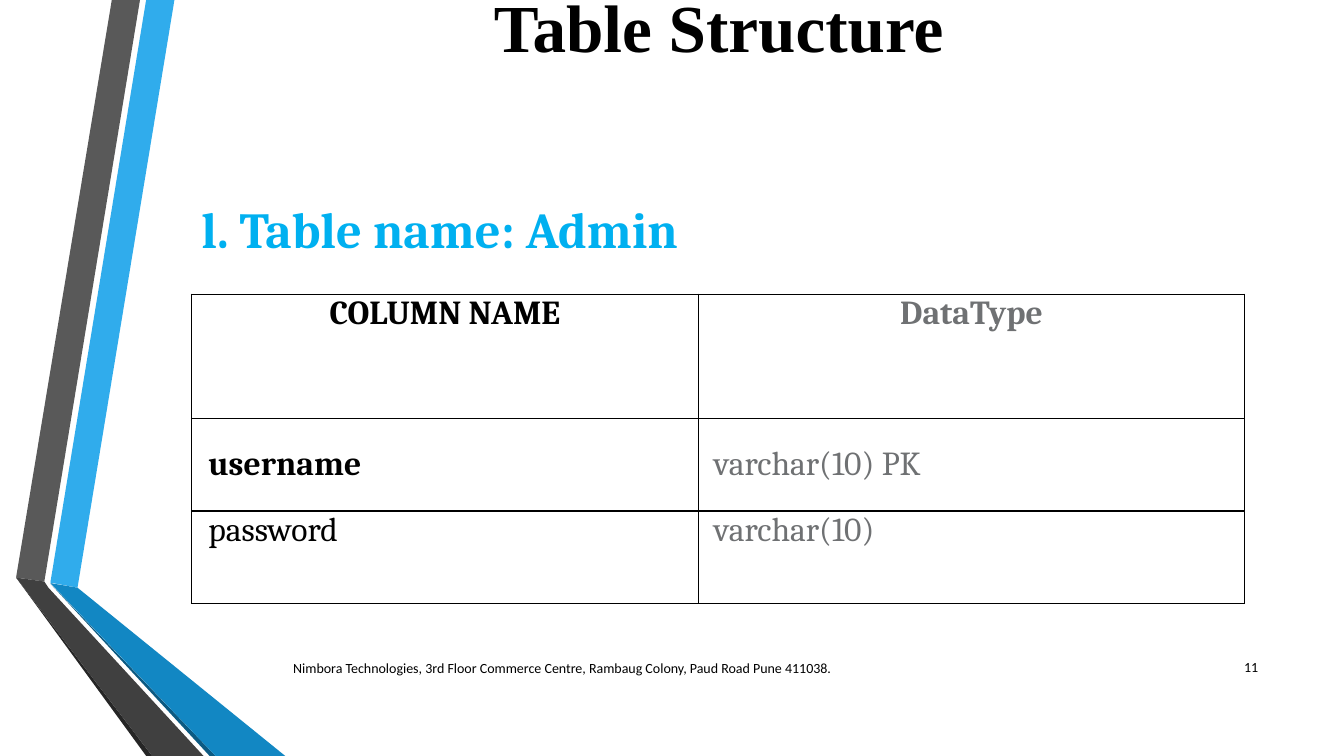
from lxml.etree import SubElement
from pptx import Presentation
from pptx.dml.color import RGBColor
from pptx.enum.text import MSO_ANCHOR as Anchor, MSO_AUTO_SIZE as AutoSize, PP_ALIGN as Align
from pptx.oxml.ns import qn
from pptx.util import Pt

BLACK = RGBColor(0x00, 0x00, 0x00)
GREY_TEXT = RGBColor(0x6F, 0x71, 0x73)
HEADING_BLUE = RGBColor(0x00, 0xB0, 0xF0)
LIGHT_BLUE = RGBColor(0x30, 0xAC, 0xEC)
MID_BLUE = RGBColor(0x12, 0x87, 0xC3)
DARK_BLUE = RGBColor(0x0C, 0x5A, 0x82)
LIGHT_GREY = RGBColor(0x59, 0x59, 0x59)
MID_GREY = RGBColor(0x40, 0x40, 0x40)
DARK_GREY = RGBColor(0x26, 0x26, 0x26)


def write(frame, text, font, size, color, bold=False, align=Align.LEFT, spacing=None):
    paragraph = frame.paragraphs[0]
    paragraph.alignment = align
    paragraph.line_spacing = spacing
    run = paragraph.add_run()
    run.text = text
    for key, value in {"name": font, "size": Pt(size), "bold": bold}.items():
        setattr(run.font, key, value)
    run.font.color.rgb = color


def place(shape, left, top, width, height):
    box = {"left": left, "top": top, "width": width, "height": height}
    for key, value in box.items():
        setattr(shape, key, Pt(value))


deck = Presentation()
deck.slide_width, deck.slide_height = Pt(960), Pt(540)
slide = deck.slides.add_slide(deck.slide_layouts[5])
shapes = slide.shapes

bands = [
    (LIGHT_BLUE, [(36, 416.2), (55.4, 419.8), (124.6, 0), (104.4, 0)]),
    (LIGHT_GREY, [(100, 0), (79.9, 0), (11.5, 412.6), (31.7, 415.4)]),
    (DARK_GREY, [(11.5, 412.6), (104.4, 540), (108.7, 540)]),
    (DARK_BLUE, [(36, 416.9), (149.8, 540), (154.1, 540)]),
    (MID_BLUE, [(36, 416.5), (154.1, 540), (203.8, 540), (55.4, 419.8)]),
    (MID_GREY, [(11.5, 412.6), (108.7, 540), (145.4, 540), (34.6, 419.8), (31.7, 415.4)]),
]
for color, corners in bands:
    start, *others = [(Pt(x), Pt(y)) for x, y in corners]
    outline = shapes.build_freeform(*start)
    outline.add_line_segments(others, close=True)
    band = outline.convert_to_shape()
    band.shadow.inherit = False
    band.fill.solid()
    band.fill.fore_color.rgb = color
    band.line.fill.background()

title = shapes.title
place(title, 136.8, 17.3, 769.7, 78.5)
title_format = {
    "margin_left": Pt(216), "margin_top": 0, "margin_right": 0, "margin_bottom": 0,
    "vertical_anchor": Anchor.TOP, "auto_size": AutoSize.NONE, "word_wrap": True,
}
for key, value in title_format.items():
    setattr(title.text_frame, key, value)
write(title.text_frame, "Table Structure", "Times New Roman", 48, BLACK, True, spacing=Pt(30))

rows = [
    ("COLUMN NAME", "DataType"),
    ("username", "varchar(10) PK"),
    ("password", "varchar(10)"),
]
table = shapes.add_table(3, 2, Pt(136.8), Pt(210.2), Pt(752.4), Pt(221)).table
table.first_row = table.horz_banding = False
for column, width in zip(table.columns, (362, 390.4)):
    column.width = Pt(width)
for row, height in zip(table.rows, (88.6, 66.2, 66.2)):
    row.height = Pt(height)

for r, texts in enumerate(rows):
    for c, text in enumerate(texts):
        cell = table.cell(r, c)
        cell_format = {
            "margin_left": Pt((12, 11)[c]) if r else 0,
            "margin_top": 0, "margin_right": 0, "margin_bottom": 0,
            "vertical_anchor": Anchor.MIDDLE if r == 1 else Anchor.TOP,
        }
        for key, value in cell_format.items():
            setattr(cell, key, value)
        properties = cell._tc.get_or_add_tcPr()
        for side in ("a:lnL", "a:lnR", "a:lnT", "a:lnB"):
            border = SubElement(properties, qn(side), w=str(Pt(1)))
            border_fill = SubElement(border, qn("a:solidFill"))
            SubElement(border_fill, qn("a:srgbClr"), val=str(BLACK))
        cell.fill.background()
        write(cell.text_frame, text, "Cambria", 24, (BLACK, GREY_TEXT)[c],
              bold=r == 0 or (r, c) == (1, 0),
              align=Align.LEFT if r else Align.CENTER)

labels = [
    ((136.8, 151.2, 480.2, 38.2), Anchor.TOP,
     ("l. Table name: Admin", "Cambria", 36, HEADING_BLUE, True, Align.LEFT, Pt(30))),
    ((202.3, 463, 558, 28.8), Anchor.MIDDLE,
     ("Nimbora Technologies, 3rd Floor Commerce Centre, Rambaug Colony, Paud Road Pune 411038.",
      "Calibri", 10, BLACK)),
    ((862.6, 462.2, 43.2, 28.8), Anchor.MIDDLE,
     ("11", "Calibri", 10, BLACK, False, Align.RIGHT)),
]
for box, anchor, content in labels:
    label = shapes.add_textbox(*map(Pt, box)).text_frame
    label.word_wrap = True
    label.vertical_anchor = anchor
    write(label, *content)

deck.save("out.pptx")
